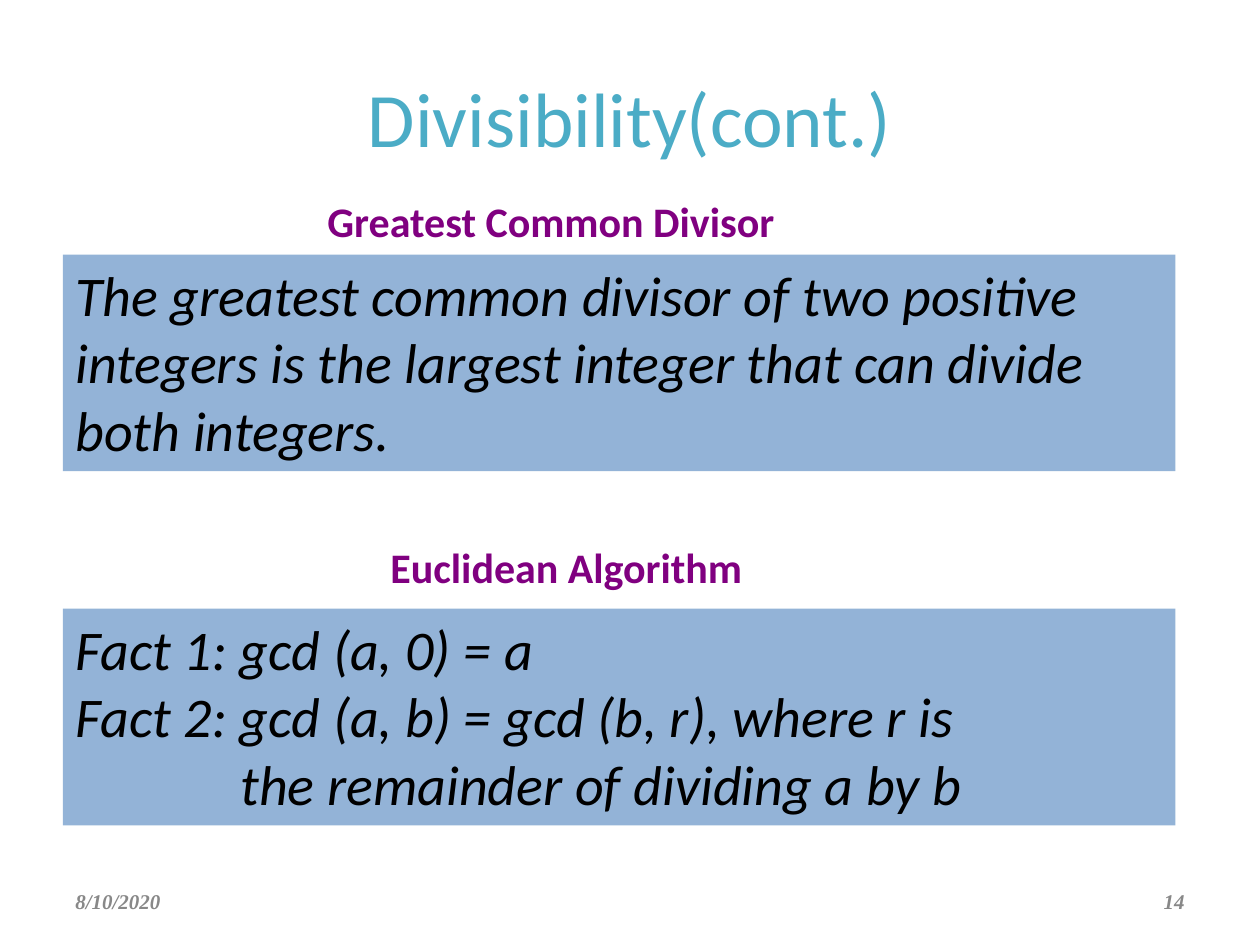
from pptx import Presentation
from pptx.dml.color import RGBColor
from pptx.enum.shapes import MSO_SHAPE
from pptx.enum.text import MSO_ANCHOR, PP_ALIGN
from pptx.util import Inches, Pt

RECTANGLE = MSO_SHAPE.RECTANGLE
TOP, MIDDLE = MSO_ANCHOR.TOP, MSO_ANCHOR.MIDDLE
LEFT, CENTER, RIGHT = PP_ALIGN.LEFT, PP_ALIGN.CENTER, PP_ALIGN.RIGHT


def color(hex_string):
    return RGBColor.from_string(hex_string)


def write(shape, lines, size, hex_color, font="Calibri", bold=False,
          italic=False, align=LEFT, anchor=TOP):
    """Fill a shape with one paragraph per line, all in the same style."""
    frame = shape.text_frame
    frame.word_wrap = True
    frame.vertical_anchor = anchor
    frame.text = "\n".join(lines)
    for para in frame.paragraphs:
        para.alignment = align
        para.font.name = font
        para.font.size = Pt(size)
        para.font.bold = bold
        para.font.italic = italic
        para.font.color.rgb = color(hex_color)


deck = Presentation()
deck.slide_width, deck.slide_height = Inches(10), Inches(7.5)
page = deck.slides.add_slide(deck.slide_layouts[5])

title = page.shapes.title
title.left, title.top = Inches(0.5), Inches(0.3)
title.width, title.height = Inches(9), Inches(1.25)
write(title, ["Divisibility(cont.)"], 44, "4BACC6", align=CENTER, anchor=MIDDLE)

# heading, its left, top and width, then the panel's top and lines
sections = [
    ("Greatest Common Divisor", 2.5, 1.5, 3.79, 2.02,
     ["The greatest common divisor of two positive integers is the largest "
      "integer that can divide both integers."]),
    ("Euclidean Algorithm", 3, 4.25, 3.02, 4.83,
     ["Fact 1: gcd (a, 0) = a",
      "Fact 2: gcd (a, b) = gcd (b, r), where r is",
      "the remainder of dividing a by b"]),
]
for heading, left, top, width, panel_top, lines in sections:
    box = page.shapes.add_textbox(Inches(left), Inches(top), Inches(width), Inches(0.5))
    write(box, [heading], 24, "800080", bold=True)

    panel = page.shapes.add_shape(
        RECTANGLE, Inches(0.5), Inches(panel_top), Inches(8.83), Inches(1.72))
    panel.shadow.inherit = False
    panel.fill.solid()
    panel.fill.fore_color.rgb = color("93B3D7")
    panel.line.fill.background()
    write(panel, lines, 32, "000000", italic=True)

# The last line of Fact 2 lines up under its formula
continuation = panel.text_frame.paragraphs[-1]
continuation._p.get_or_add_pPr().set("marL", str(Inches(1.31)))

for text, left, align in [("8/10/2020", 0.5, LEFT), ("14", 7.17, RIGHT)]:
    footer = page.shapes.add_textbox(Inches(left), Inches(6.95), Inches(2.33), Inches(0.4))
    write(footer, [text], 12, "888888", font="Times New Roman", bold=True,
          italic=True, align=align, anchor=MIDDLE)

deck.save("out.pptx")
